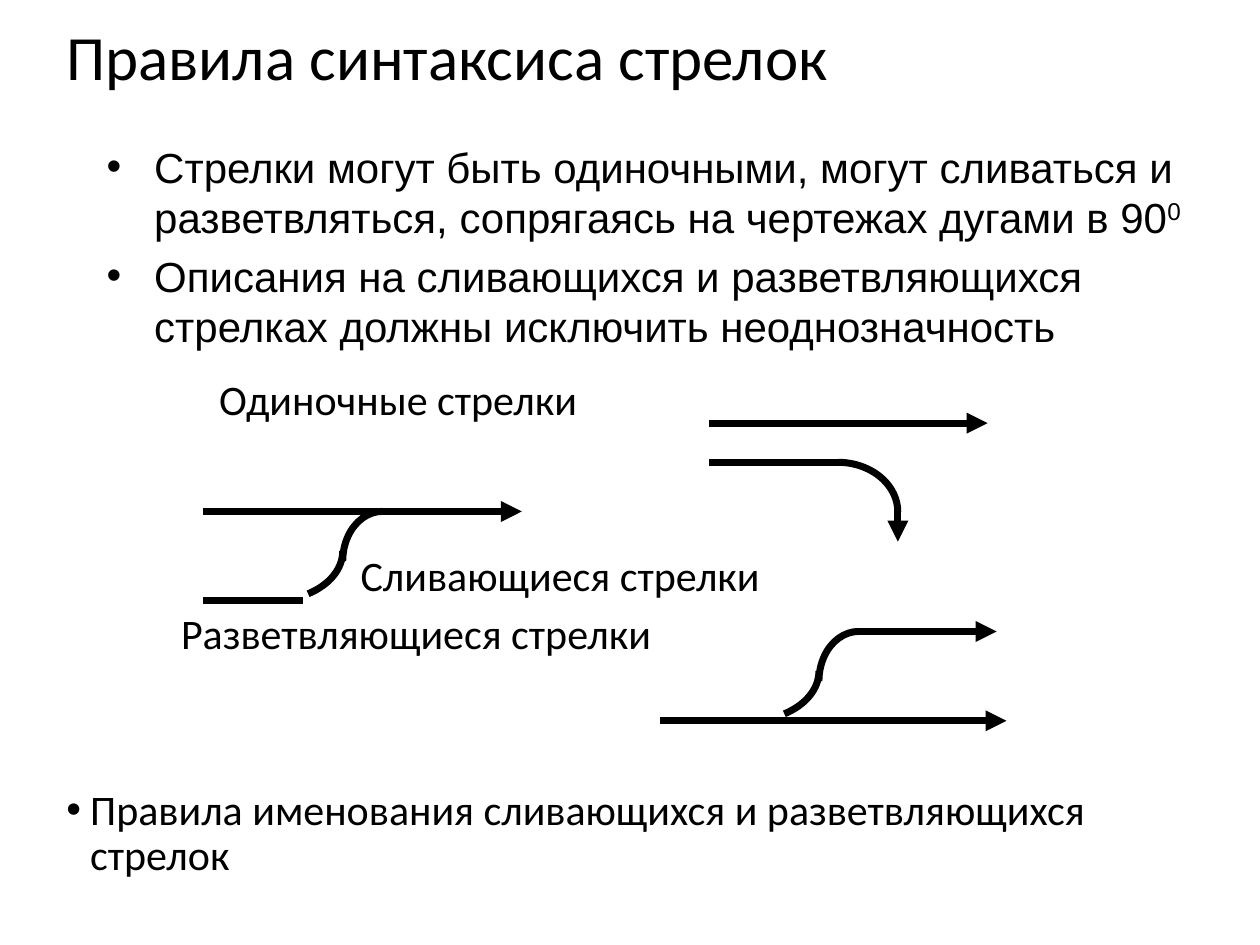
from pptx import Presentation
from pptx.dml.color import RGBColor
from pptx.enum.shapes import MSO_CONNECTOR, MSO_SHAPE
from pptx.enum.text import MSO_ANCHOR
from pptx.oxml.ns import qn
from pptx.util import Cm, Pt
from lxml import etree

LINE = MSO_CONNECTOR.STRAIGHT
ARC = MSO_SHAPE.ARC
TOP, MID = MSO_ANCHOR.TOP, MSO_ANCHOR.MIDDLE
BLACK = "000000"

deck = Presentation()
deck.slide_width, deck.slide_height = Cm(25.4), Cm(19.05)
slide = deck.slides.add_slide(deck.slide_layouts[6])
shapes = slide.shapes


def paint(target, color):
    """Set a solid colour on a font or a line."""
    if hasattr(target, "fill") and not hasattr(target, "name"):
        target.fill.solid()
    target.color.rgb = RGBColor.from_string(color)


# Text
def write(box, items, size=24, face="Calibri", space=0.9, gap=0,
          hang=0, anchor=TOP):
    """Each item is a list of (text, baseline) runs."""
    frame = shapes.add_textbox(*map(Cm, box)).text_frame
    frame.word_wrap = True
    frame.vertical_anchor = anchor
    for i, runs in enumerate(items):
        para = frame.paragraphs[0] if i == 0 else frame.add_paragraph()
        para.line_spacing = space
        para.space_before = Pt(gap)
        if hang:
            props = para._p.get_or_add_pPr()
            props.set("marL", str(Cm(hang)))
            props.set("indent", str(-Cm(hang)))
            etree.SubElement(props, qn("a:buFont")).set("typeface", "Arial")
            etree.SubElement(props, qn("a:buChar")).set("char", "•")
        for text, base in runs:
            run = para.add_run()
            run.text = text
            run.font.size, run.font.name = Pt(size), face
            paint(run.font, BLACK)
            if base:
                run._r.get_or_add_rPr().set("baseline", str(base))


# Strokes
def line(x1, y1, x2, y2, arrow=False):
    link = shapes.add_connector(LINE, Cm(x1), Cm(y1), Cm(x2), Cm(y2))
    link.line.width = Pt(4)
    paint(link.line, BLACK)
    if arrow:
        tail = etree.SubElement(link.line._get_or_add_ln(), qn("a:tailEnd"))
        tail.set("type", "triangle")
    etree.SubElement(link._element.spPr, qn("a:effectLst"))


def arc(cx, cy, rx, ry, start, end):
    """Draw part of an ellipse; angles in degrees, clockwise from right."""
    curve = shapes.add_shape(ARC, Cm(cx - rx), Cm(cy - ry),
                             Cm(2 * rx), Cm(2 * ry))
    curve.shadow.inherit = False
    curve.fill.background()
    curve.line.width = Pt(4)
    paint(curve.line, BLACK)
    # Adjustments count in units of 100000; a degree is 60000
    curve.adjustments[0] = start * 0.6
    curve.adjustments[1] = end * 0.6


def bend(x, y, high):
    """S-curve through x, from y down to y + high."""
    arc(x + 0.8, y + 1, 0.8, 1, 180, 270)
    arc(x - 1.42, y + high - 1, 1.42, 1, 0, 50)


# Arrow figures, placed from their left top corner
def single(x, y):
    line(x, y, x + 5.61, y, True)
    line(x, y + 0.79, x + 2.59, y + 0.79)
    arc(x + 2.59, y + 1.79, 1.21, 1, 270, 0)
    line(x + 3.8, y + 1.78, x + 3.8, y + 2.39, True)


def merge(x, y, high=1.8):
    line(x, y, x + 6.43, y, True)
    bend(x + 2.82, y, high)
    line(x, y + high, x + 2.01, y + high)


def fork(x, y, high=1.8):
    line(x, y + high, x + 6.98, y + high, True)
    line(x + 3.99, y, x + 6.78, y, True)
    bend(x + 3.2, y, high)


# Title and rules
write((1.09, 0.53, 22.86, 1.37), [[("Правила синтаксиса стрелок", 0)]],
      size=36, anchor=MID)
write((1.9, 2.72, 22.86, 4.6), [
    [("Стрелки могут быть одиночными, могут сливаться и разветвляться, "
      "сопрягаясь на чертежах дугами в 90", 0), ("0", 30000)],
    [("Описания на сливающихся и разветвляющихся стрелках должны "
      "исключить неоднозначность", 0)],
], face="Arial", space=1.0, gap=4.8, hang=0.96)

# Labels
for left, top, label in [(4.17, 7.52, "Одиночные стрелки"),
                         (7.02, 11.07, "Сливающиеся стрелки"),
                         (3.4, 12.24, "Разветвляющиеся стрелки")]:
    write((left, top, 10.5, 1.2), [[(label, 0)]])

# Figures
single(14.3, 8.53)
merge(4.09, 10.31)
fork(13.31, 12.73)

# Closing point
write((1.09, 15.78, 22.86, 2.2),
      [[("Правила именования сливающихся и разветвляющихся стрелок", 0)]],
      hang=0.48)

deck.save("out.pptx")
